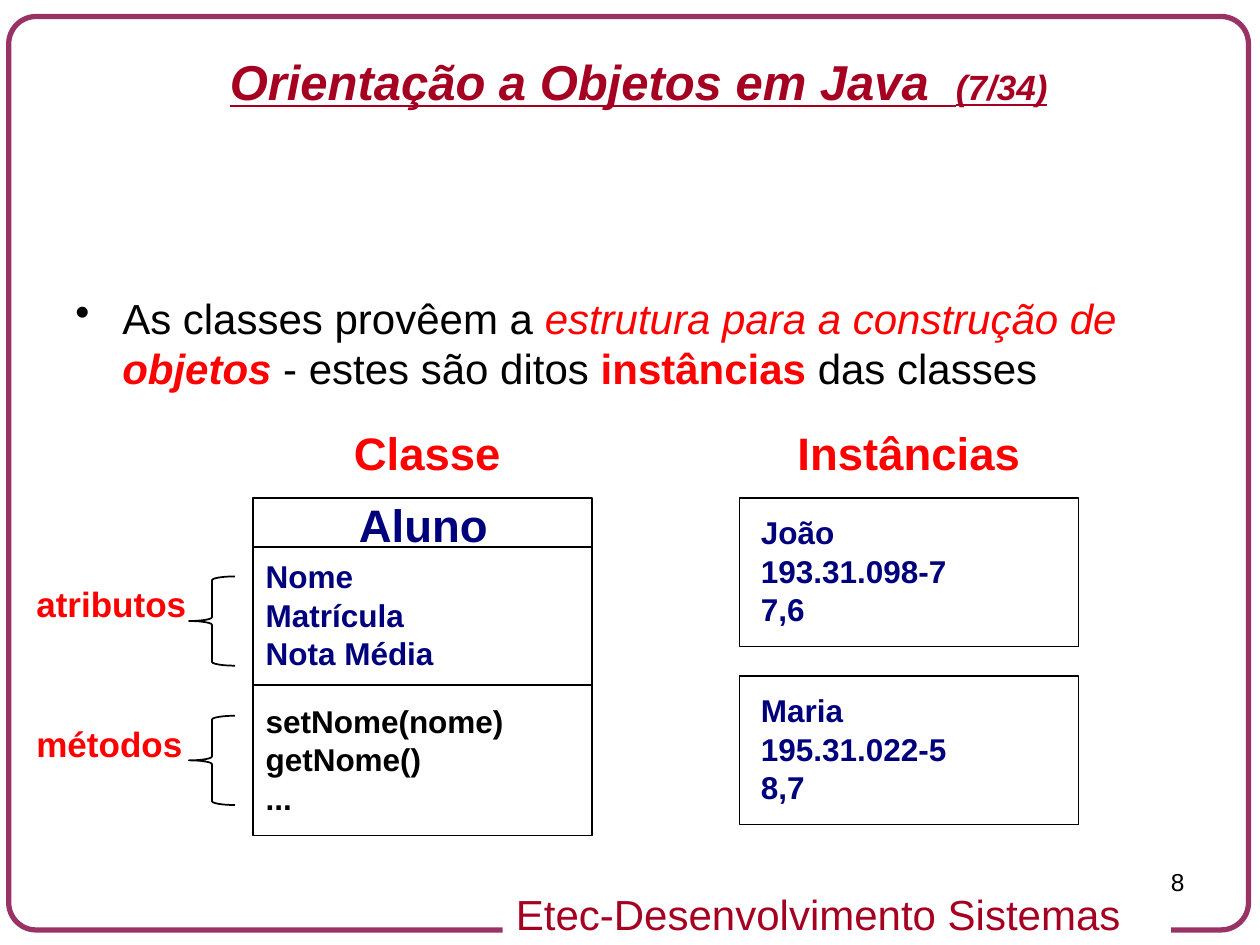
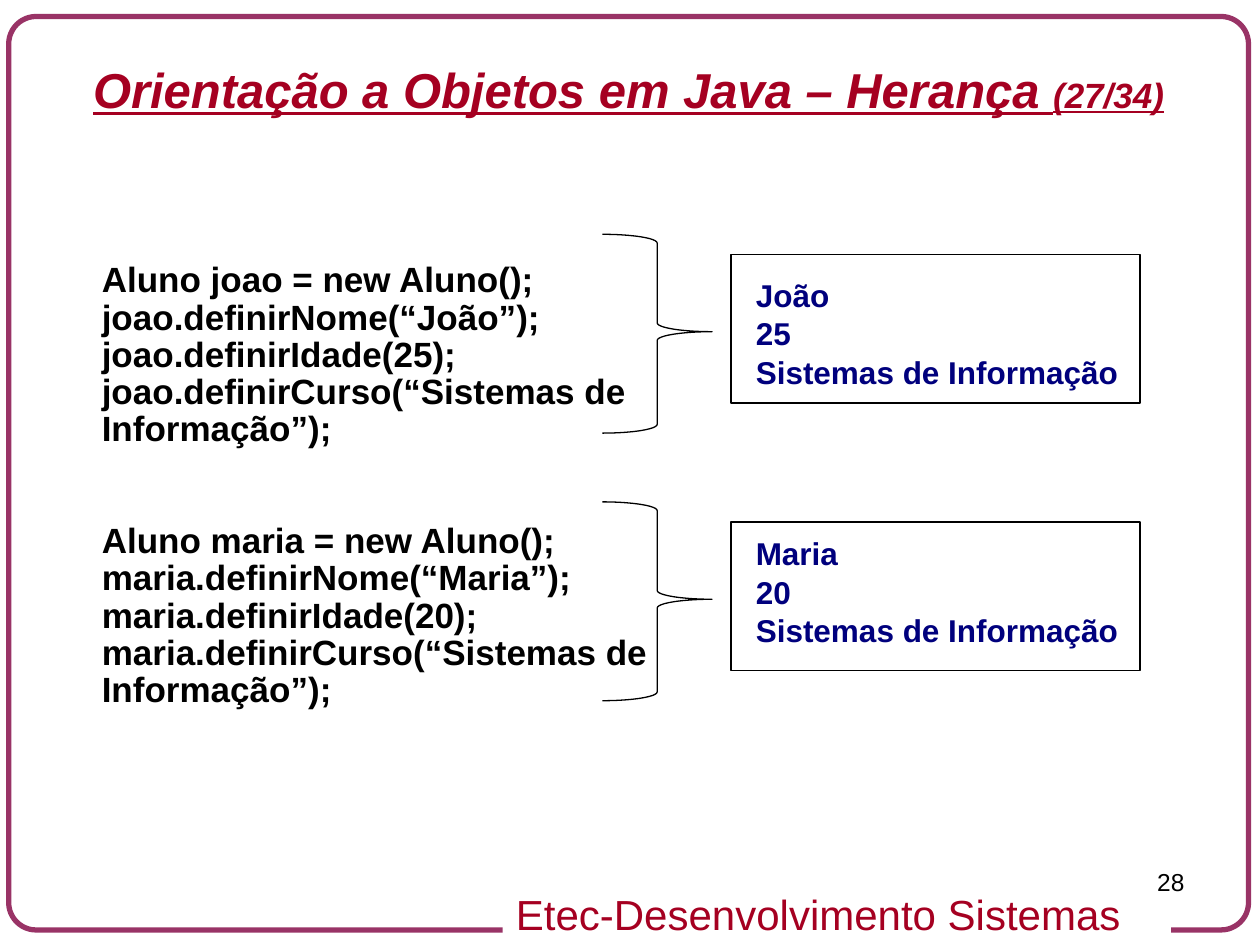
from dataclasses import dataclass, field
from typing import Any

from lxml.etree import SubElement
from pptx import Presentation
from pptx.dml.color import RGBColor
from pptx.enum.shapes import MSO_CONNECTOR as Connector, MSO_SHAPE as Preset
from pptx.enum.text import MSO_ANCHOR as Anchor, MSO_AUTO_SIZE as AutoSize, PP_ALIGN as Align
from pptx.oxml.ns import qn
from pptx.util import Pt


@dataclass(frozen=True)
class Theme:
    font: str = "Arial"
    black: str = "000000"
    white: str = "FFFFFF"
    red: str = "FF0000"
    navy: str = "00007D"
    wine: str = "A50021"
    plum: str = "993366"
    title_size: float = 28
    heading_size: float = 26
    body_size: float = 24
    label_size: float = 20
    list_size: float = 18
    number_size: float = 14
    line_factor: float = 1.19
    list_pitch: float = 22.1
    code_pitch: float = 21.3
    inset: float = 7.2
    top_inset: float = 4


THEME = Theme()


@dataclass(frozen=True)
class Area:
    left: float
    top: float
    width: float
    height: float

    def lengths(self) -> tuple[Pt, ...]:
        return tuple(Pt(value) for value in (self.left, self.top, self.width, self.height))


@dataclass(frozen=True)
class Run:
    text: str
    format: dict[str, Any] = field(default_factory=dict)


@dataclass(frozen=True)
class TextStyle:
    size: float
    color: str
    bold: bool = True
    italic: bool = False
    underline: bool = False
    align: Align = Align.LEFT
    pitch: float | None = None
    top_inset: float = THEME.top_inset


@dataclass(frozen=True)
class Outline:
    preset: Preset
    area: Area
    color: str | None = THEME.black
    weight: float = 1
    fill: str | None = None
    adjustments: tuple[float, ...] = ()


@dataclass(frozen=True)
class Instance:
    frame: Area
    text_left: float
    text_top: float
    lines: tuple[str, ...]


TITLE = TextStyle(THEME.title_size, THEME.wine, italic=True, underline=True, align=Align.CENTER)
FOOTER = TextStyle(THEME.body_size, THEME.wine, bold=False, align=Align.CENTER)
NUMBER = TextStyle(THEME.number_size, THEME.black, bold=False, align=Align.RIGHT)
BODY = TextStyle(THEME.body_size, THEME.black, bold=False)
HEADING = TextStyle(THEME.heading_size, THEME.red)
CLASS_NAME = TextStyle(THEME.heading_size, THEME.navy)
LABEL = TextStyle(THEME.label_size, THEME.red)
FIELDS = TextStyle(THEME.list_size, THEME.navy, pitch=THEME.list_pitch, top_inset=0)
METHODS = TextStyle(THEME.list_size, THEME.black, pitch=THEME.list_pitch, top_inset=0)
CODE = TextStyle(THEME.label_size, THEME.black, pitch=THEME.code_pitch, top_inset=0)


def apply(target: Any, values: dict[str, Any]) -> None:
    for name, value in values.items():
        setattr(target, name, value)


def write_text(shape: Any, paragraphs: list[list[Run]], style: TextStyle) -> None:
    frame = shape.text_frame
    apply(frame, {
        "word_wrap": True,
        "auto_size": AutoSize.NONE,
        "vertical_anchor": Anchor.TOP,
        "margin_left": Pt(THEME.inset),
        "margin_right": Pt(THEME.inset),
        "margin_top": Pt(style.top_inset),
        "margin_bottom": Pt(0),
    })
    for index, runs in enumerate(paragraphs):
        paragraph = frame.add_paragraph() if index else frame.paragraphs[0]
        apply(paragraph, {
            "alignment": style.align,
            "line_spacing": Pt(style.pitch or style.size * THEME.line_factor),
            "space_before": Pt(0),
        })
        for item in runs:
            run = paragraph.add_run()
            run.text = item.text
            values = {"size": style.size, "color": style.color, "bold": style.bold,
                      "italic": style.italic, "underline": style.underline} | item.format
            run.font.color.rgb = RGBColor.from_string(values.pop("color"))
            apply(run.font, values | {"name": THEME.font, "size": Pt(values["size"])})


def add_text(slide: Any, area: Area, lines: tuple[str, ...], style: TextStyle) -> None:
    box = slide.shapes.add_textbox(*area.lengths())
    write_text(box, [[Run(line)] for line in lines], style)


def add_outline(slide: Any, outline: Outline) -> Any:
    shape = slide.shapes.add_shape(outline.preset, *outline.area.lengths())
    shape.shadow.inherit = False
    for index, value in enumerate(outline.adjustments):
        shape.adjustments[index] = value
    if outline.fill:
        shape.fill.solid()
        shape.fill.fore_color.rgb = RGBColor.from_string(outline.fill)
    else:
        shape.fill.background()
    if outline.color:
        shape.line.color.rgb = RGBColor.from_string(outline.color)
        shape.line.width = Pt(outline.weight)
    else:
        shape.line.fill.background()
    return shape


def add_line(slide: Any, left: float, right: float, y: float,
             color: str = THEME.black, weight: float = 1) -> None:
    ends = (Pt(value) for value in (left, y, right, y))
    line = slide.shapes.add_connector(Connector.STRAIGHT, *ends)
    line.line.color.rgb = RGBColor.from_string(color)
    line.line.width = Pt(weight)
    SubElement(line._element.spPr, qn("a:effectLst"))


def add_instance(slide: Any, instance: Instance) -> None:
    add_outline(slide, Outline(Preset.RECTANGLE, instance.frame))
    area = Area(instance.text_left, instance.text_top, instance.frame.width + 6, 67)
    add_text(slide, area, instance.lines, FIELDS)


def add_bullet(slide: Any, area: Area, runs: list[Run], indent: float) -> None:
    box = slide.shapes.add_textbox(*area.lengths())
    properties = box.text_frame.paragraphs[0]._p.get_or_add_pPr()
    properties.set("marL", str(Pt(indent)))
    properties.set("indent", str(-Pt(indent)))
    color = SubElement(properties, qn("a:buClr"))
    SubElement(color, qn("a:srgbClr"), val=THEME.black)
    SubElement(properties, qn("a:buChar"), char="•")
    write_text(box, [runs], BODY)


def add_base_slide(presentation: Any, area: Area, title: str, progress: str, number: str) -> Any:
    slide = presentation.slides.add_slide(presentation.slide_layouts[5])
    add_outline(slide, Outline(Preset.ROUNDED_RECTANGLE, Area(5, 9.4, 708.5, 522),
                               THEME.plum, 3, adjustments=(0.03,)))
    add_line(slide, 609, 669, 530.8, THEME.white, 4.5)
    footer = add_outline(slide, Outline(Preset.RECTANGLE, Area(287.3, 504, 367.2, 36),
                                        None, fill=THEME.white))
    write_text(footer, [[Run("Etec-Desenvolvimento Sistemas ")]], FOOTER)
    add_text(slide, Area(516.2, 491.8, 167.8, 37.4), (number,), NUMBER)
    heading = slide.shapes.title
    apply(heading, dict(zip(("left", "top", "width", "height"), area.lengths())))
    write_text(heading, [[Run(title), Run(progress, {"size": THEME.label_size})]], TITLE)
    return slide


def build_class_slide(presentation: Any) -> None:
    slide = add_base_slide(presentation, Area(84.2, 25.9, 561.6, 41),
                           "Orientação a Objetos em Java  ", "(7/34)", "8")
    red = {"color": THEME.red}
    add_bullet(slide, Area(36, 163.4, 658.8, 65), [
        Run("As classes provêem a "),
        Run("estrutura para a construção de ", red | {"italic": True}),
        Run("objetos", red | {"italic": True, "bold": True}),
        Run(" - estes são ditos "),
        Run("instâncias ", red | {"bold": True}),
        Run("das classes"),
    ], 26.8)

    width, class_left, class_top = 193.7, 144.7, 284.4
    add_outline(slide, Outline(Preset.RECTANGLE, Area(class_left, class_top, width, 193)))
    for left, top, text, style in (
        (195.1, 239, "Classe", HEADING),
        (448.6, 239, "Instâncias", HEADING),
        (198, 280.1, "Aluno", CLASS_NAME),
    ):
        add_text(slide, Area(left, top, width, 38.9), (text,), style)
    for y in (312.5, 391.3):
        add_line(slide, class_left, class_left + width, y)
    for top, lines, style in (
        (317.7, ("Nome", "Matrícula", "Nota Média"), FIELDS),
        (400.5, ("setNome(nome)", "getNome()", "..."), METHODS),
    ):
        add_text(slide, Area(class_left, top, width, 67), lines, style)
    for top, label in ((329.4, "atributos"), (409, "métodos")):
        add_outline(slide, Outline(Preset.LEFT_BRACE, Area(108, top, 26.3, 51)))
        add_text(slide, Area(13.7, top, width, 31.7), (label,), LABEL)
    for top, lines in (
        (class_top, ("João", "193.31.098-7", "7,6")),
        (class_top + 101.8, ("Maria", "195.31.022-5", "8,7")),
    ):
        add_instance(slide, Instance(Area(422.6, top, width, 85), 427.7, top + 8.2, lines))


def build_inheritance_slide(presentation: Any) -> None:
    slide = add_base_slide(presentation, Area(8.6, 30.2, 701.3, 41),
                           "Orientação a Objetos em Java – Herança ", "(27/34)", "28")
    for name, variable, age, code_top, frame_top, text_top, brace_top in (
        ("João", "joao", "25", 150, 145.4, 157.1, 133.9),
        ("Maria", "maria", "20", 299, 298.1, 304.7, 286.8),
    ):
        code = (
            f"Aluno {variable} = new Aluno();",
            f"{variable}.definirNome(“{name}”);",
            f"{variable}.definirIdade({age});",
            f"{variable}.definirCurso(“Sistemas de",
            "Informação”);",
        )
        add_text(slide, Area(51.1, code_top, 328.3, 107), code, CODE)
        add_instance(slide, Instance(Area(417.6, frame_top, 234, 85), 424.8, text_top,
                                     (name, age, "Sistemas de Informação")))
        add_outline(slide, Outline(Preset.RIGHT_BRACE, Area(344.2, brace_top, 62.7, 113.6),
                                   weight=0.75, adjustments=(0.08, 0.49)))


def main() -> None:
    presentation = Presentation()
    apply(presentation, {"slide_width": Pt(720), "slide_height": Pt(540)})
    build_class_slide(presentation)
    build_inheritance_slide(presentation)
    presentation.save("out.pptx")


if __name__ == "__main__":
    main()
